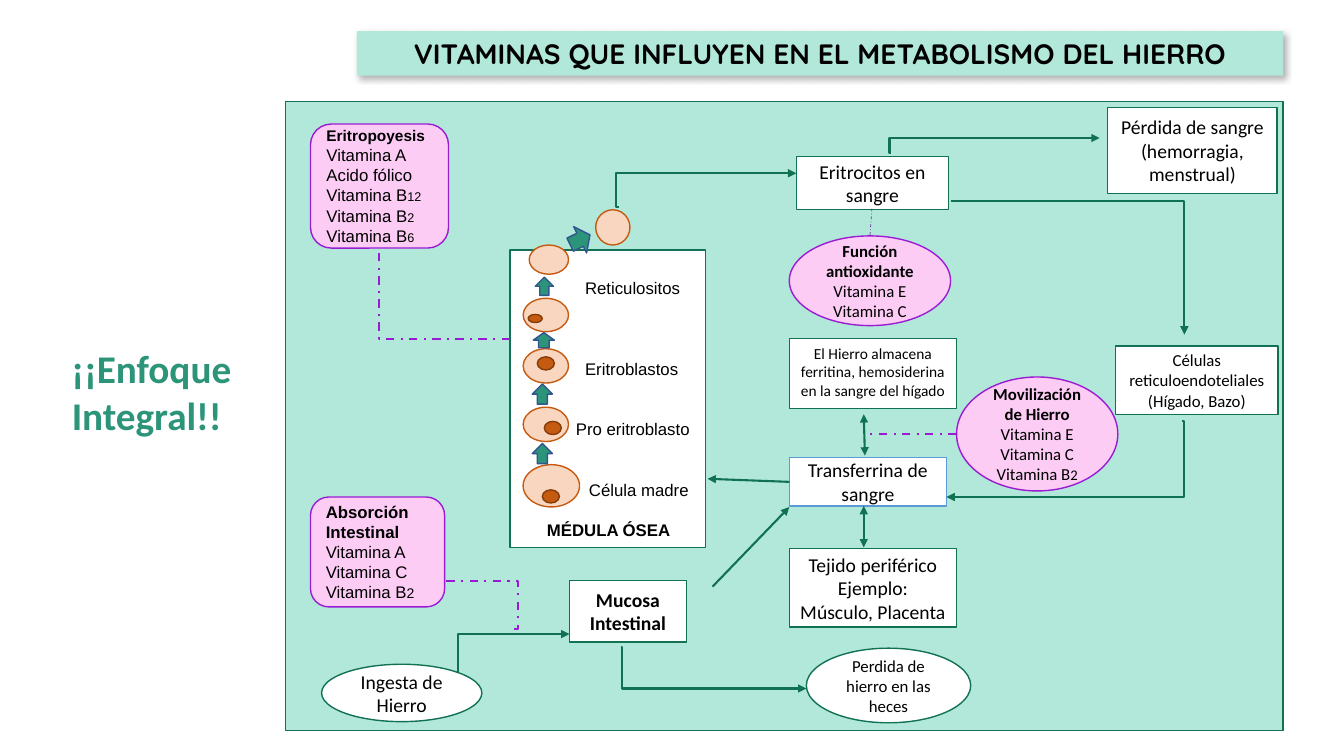
"""Build the slide on the vitamins that influence iron metabolism."""
from dataclasses import dataclass
from typing import Optional

from lxml.etree import SubElement
from pptx import Presentation
from pptx.dml.color import RGBColor
from pptx.enum.dml import MSO_LINE
from pptx.enum.shapes import MSO_CONNECTOR, MSO_SHAPE
from pptx.enum.text import MSO_ANCHOR, PP_ALIGN
from pptx.oxml.ns import qn
from pptx.util import Pt

MINT = RGBColor(0xB2, 0xE8, 0xDA)
GREEN = RGBColor(0x11, 0x71, 0x53)
TEAL = RGBColor(0x2C, 0x94, 0x79)
PINK = RGBColor(0xFC, 0xCC, 0xF5)
PURPLE = RGBColor(0x9A, 0x1C, 0xD2)
VIOLET = RGBColor(0x70, 0x30, 0xA0)
PEACH = RGBColor(0xF9, 0xD6, 0xBF)
ORANGE = RGBColor(0xC5, 0x5A, 0x11)
BROWN = RGBColor(0x84, 0x3C, 0x0B)
NAVY = RGBColor(0x32, 0x54, 0x91)
BLUE = RGBColor(0x5B, 0x9B, 0xD5)
WHITE = RGBColor(0xFF, 0xFF, 0xFF)
BLACK = RGBColor(0, 0, 0)

RECTANGLE = MSO_SHAPE.RECTANGLE
ROUNDED = MSO_SHAPE.ROUNDED_RECTANGLE
OVAL = MSO_SHAPE.OVAL
CELL = MSO_SHAPE.FLOWCHART_CONNECTOR
ARROW = MSO_SHAPE.UP_ARROW

Frame = tuple[float, float, float, float]


@dataclass(frozen=True)
class Lettering:
    """Formatting of a block of text; digits after a vitamin name are smaller."""
    size: float = 14
    font: str = "Calibri"
    color: RGBColor = BLACK
    bold_lines: int = 0
    heading_size: Optional[float] = None
    digit_size: float = 9
    align: PP_ALIGN = PP_ALIGN.CENTER
    anchor: MSO_ANCHOR = MSO_ANCHOR.MIDDLE


@dataclass(frozen=True)
class Node:
    """A filled shape with optional text."""
    kind: MSO_SHAPE
    frame: Frame
    fill: RGBColor = WHITE
    outline: Optional[RGBColor] = GREEN
    text: str = ""
    lettering: Lettering = Lettering()
    rotation: float = 0


@dataclass(frozen=True)
class Link:
    """A connector, bent at the position turn when that is given."""
    start: tuple[float, float]
    end: tuple[float, float]
    turn: Optional[float] = None
    heads: tuple[str, ...] = ("tailEnd",)
    color: RGBColor = GREEN
    width: float = 1.5
    dashed: bool = False


def write(shape, text: str, lettering: Lettering) -> None:
    """Set the text of a shape and format its runs."""
    text_frame = shape.text_frame
    text_frame.text = text
    text_frame.word_wrap = True
    text_frame.vertical_anchor = lettering.anchor
    for index, paragraph in enumerate(text_frame.paragraphs):
        paragraph.alignment = lettering.align
        line = paragraph.text
        stem = line.rstrip("0123456789")
        heading = index < lettering.bold_lines
        size = lettering.heading_size if heading and lettering.heading_size else lettering.size
        paragraph.runs[0].text = stem
        if stem != line:
            paragraph.add_run().text = line[len(stem):]
        for run, run_size in zip(paragraph.runs, (size, lettering.digit_size)):
            run.font.size = Pt(run_size)
            run.font.name = lettering.font
            run.font.bold = heading
            run.font.color.rgb = lettering.color


def add_node(slide, node: Node):
    """Draw a node and return its shape."""
    shape = slide.shapes.add_shape(node.kind, *map(Pt, node.frame))
    shape.shadow.inherit = False
    shape.rotation = node.rotation
    shape.fill.solid()
    shape.fill.fore_color.rgb = node.fill
    if node.outline is None:
        shape.line.fill.background()
    else:
        shape.line.color.rgb = node.outline
        shape.line.width = Pt(1)
    if node.text:
        write(shape, node.text, node.lettering)
    return shape


def add_label(slide, frame: Frame, text: str, lettering: Lettering):
    """Draw a text box and return it."""
    label = slide.shapes.add_textbox(*map(Pt, frame))
    write(label, text, lettering)
    return label


def add_link(slide, link: Link) -> None:
    """Draw a connector with its bend, dashes and arrowheads."""
    kind = MSO_CONNECTOR.STRAIGHT if link.turn is None else MSO_CONNECTOR.ELBOW
    connector = slide.shapes.add_connector(kind, *map(Pt, link.start + link.end))
    connector.line.color.rgb = link.color
    connector.line.width = Pt(link.width)
    if link.dashed:
        connector.line.dash_style = MSO_LINE.DASH_DOT
    properties = connector._element.spPr
    if link.turn is not None:
        share = (link.turn - link.start[0]) / (link.end[0] - link.start[0])
        guides = properties.find(qn("a:prstGeom")).get_or_add_avLst()
        SubElement(guides, qn("a:gd"), name="adj1", fmla=f"val {round(share * 100000)}")
    for head in link.heads:
        SubElement(properties.find(qn("a:ln")), qn(f"a:{head}"), type="triangle")
    SubElement(properties, qn("a:effectLst"))


def add_soft_shadow(shape) -> None:
    """Give a shape a soft shadow to the lower right."""
    effects = shape._element.spPr.find(qn("a:effectLst"))
    shadow = SubElement(effects, qn("a:outerShdw"), blurRad=str(Pt(4.5)), dist=str(Pt(2.6)),
                        dir=str(53 * 60000), algn="tl", rotWithShape="0")
    color = SubElement(shadow, qn("a:srgbClr"), val=str(BLACK))
    SubElement(color, qn("a:alpha"), val="30000")


MEDIUM = Lettering(12)
STORAGE = Lettering(11, anchor=MSO_ANCHOR.TOP)
VITAMINS = Lettering(12, bold_lines=1, digit_size=10.5)
MARROW = Lettering(12, "Arial", align=PP_ALIGN.LEFT)
MARROW_TITLE = Lettering(12, "Arial", bold_lines=1, align=PP_ALIGN.LEFT)
ERYTHROPOIESIS = Lettering(12, "Arial", bold_lines=1, heading_size=11, align=PP_ALIGN.LEFT)
ABSORPTION = Lettering(12, "Arial", bold_lines=1, digit_size=10, align=PP_ALIGN.LEFT)
FOCUS = Lettering(28, color=TEAL, bold_lines=1, anchor=MSO_ANCHOR.TOP)
TITLE = Lettering(20, "Quicksand", bold_lines=1)

CELLS = [(373.7, 331.9, 40.3, 30.2), (373.7, 290.9, 32.4, 24.5), (373.7, 249.1, 32.4, 24.5),
         (373.7, 213.1, 32.4, 23.8), (378, 175, 28.1, 20.9), (425.5, 149.8, 24.5, 25.2)]
NUCLEI = [(377.3, 224.6, 10.1, 5.8), (383.8, 254.9, 12.2, 9.4),
          (388.8, 301, 12.2, 9.4), (387.4, 349.9, 12.2, 9.4)]
STEPS = [(382.3, 198, 13, 13), (380.9, 237.6, 15.1, 10.8),
         (380.2, 274.3, 14.4, 14.4), (380.2, 316.8, 14.4, 14.4)]
NODES = [
    Node(RECTANGLE, (203.8, 72.7, 712.8, 449.3), MINT),
    Node(ROUNDED, (221.8, 88.6, 98.6, 88.6), PINK, PURPLE,
         "Eritropoyesis\nVitamina A\nAcido fólico\nVitamina B12\nVitamina B2\nVitamina B6",
         ERYTHROPOIESIS),
    Node(ROUNDED, (221.8, 355, 95.8, 78.5), PINK, PURPLE,
         "Absorción Intestinal\nVitamina A\nVitamina C\nVitamina B2", ABSORPTION),
    Node(RECTANGLE, (364.3, 178.6, 139.7, 212.4)),
    *[Node(CELL, frame, PEACH, ORANGE) for frame in CELLS],
    *[Node(CELL, frame, ORANGE, BROWN) for frame in NUCLEI],
    *[Node(ARROW, frame, TEAL, NAVY) for frame in STEPS],
    Node(ARROW, (403.9, 163.4, 20.9, 15.8), TEAL, NAVY, rotation=63.8),
    Node(OVAL, (229.7, 474.5, 114.5, 41), text="Ingesta de Hierro"),
    Node(RECTANGLE, (406.8, 414.7, 83.5, 43.9), text="Mucosa\nIntestinal",
         lettering=Lettering(bold_lines=2)),
    Node(RECTANGLE, (568.8, 111.6, 108.7, 38.2), text="Eritrocitos en sangre"),
    Node(RECTANGLE, (563.8, 241.9, 119.5, 49.7), lettering=STORAGE,
         text="El Hierro almacena ferritina, hemosiderina en la sangre del hígado"),
    Node(RECTANGLE, (563.8, 326.9, 112.3, 34.6), outline=BLUE, text="Transferrina de sangre"),
    Node(RECTANGLE, (563.8, 391.7, 119.5, 56.2),
         text="Tejido periférico\nEjemplo: Músculo, Placenta"),
    Node(OVAL, (563.8, 168.5, 115.2, 64.1), PINK, PURPLE,
         "Función antioxidante\nVitamina E\nVitamina C", VITAMINS),
    Node(OVAL, (576, 463, 117.4, 53.3), text="Perdida de hierro en las heces", lettering=MEDIUM),
    Node(OVAL, (683.3, 269.3, 115.2, 81.4), PINK, PURPLE,
         "Movilización de Hierro\nVitamina E\nVitamina C\nVitamina B2", VITAMINS),
    Node(RECTANGLE, (797, 247, 115.9, 49), lettering=MEDIUM,
         text="Células reticuloendoteliales (Hígado, Bazo)"),
    Node(RECTANGLE, (791.3, 77, 121, 61.2), text="Pérdida de sangre (hemorragia, menstrual)"),
]
STAGES = [("Reticulositos", 417.9, 205.7, MARROW), ("Eritroblastos", 417.9, 263.6, MARROW),
          ("Pro eritroblasto", 411.4, 306.4, MARROW), ("Célula madre", 420.7, 350, MARROW),
          ("MÉDULA ÓSEA", 390.7, 378.6, MARROW_TITLE)]
BOTH = ("headEnd", "tailEnd")
LINKS = [
    Link((679, 143.3), (846, 239), 846),
    Link((844.6, 301), (676.1, 355), 846),
    Link((635.8, 109.4), (785.5, 98.6), 635.3),
    Link((442, 147.6), (568.8, 123.8), 440),
    Link((443.5, 462.2), (576, 491.8), 444.2),
    Link((326.9, 481), (406.8, 452.9), 326.9),
    Link((617, 295.9), (617.8, 325.4), heads=BOTH),
    Link((617, 361.4), (617, 391), heads=BOTH),
    Link((509, 419), (563.8, 362.2)),
    Link((563.8, 344.2), (505.4, 342)),
    Link((683.3, 310.3), (619.9, 310.3), None, (), PURPLE, dashed=True),
    Link((367.2, 449.3), (318.2, 414.7), 370.1, (), PURPLE, dashed=True),
    Link((364.3, 241.9), (270.7, 177.1), 270.7, (), PURPLE, dashed=True),
    Link((622.8, 149), (621.4, 168.5), None, (), VIOLET, 0.5, True),
]

presentation = Presentation()
presentation.slide_width, presentation.slide_height = Pt(960), Pt(540)
slide = presentation.slides.add_slide(presentation.slide_layouts[6])
for node in NODES:
    add_node(slide, node)
for text, left, middle, lettering in STAGES:
    stage = add_label(slide, (left, middle - 10, 100, 20), text, lettering)
    stage.text_frame.margin_left = stage.text_frame.margin_right = 0
for link in LINKS:
    add_link(slide, link)
add_label(slide, (33.1, 242.6, 149.8, 74.9), "¡¡Enfoque Integral!! ", FOCUS)
banner = Node(RECTANGLE, (254.9, 22.3, 661.7, 31.7), MINT, None,
              "VITAMINAS QUE INFLUYEN EN EL METABOLISMO DEL HIERRO", TITLE)
add_soft_shadow(add_node(slide, banner))
presentation.save("out.pptx")
